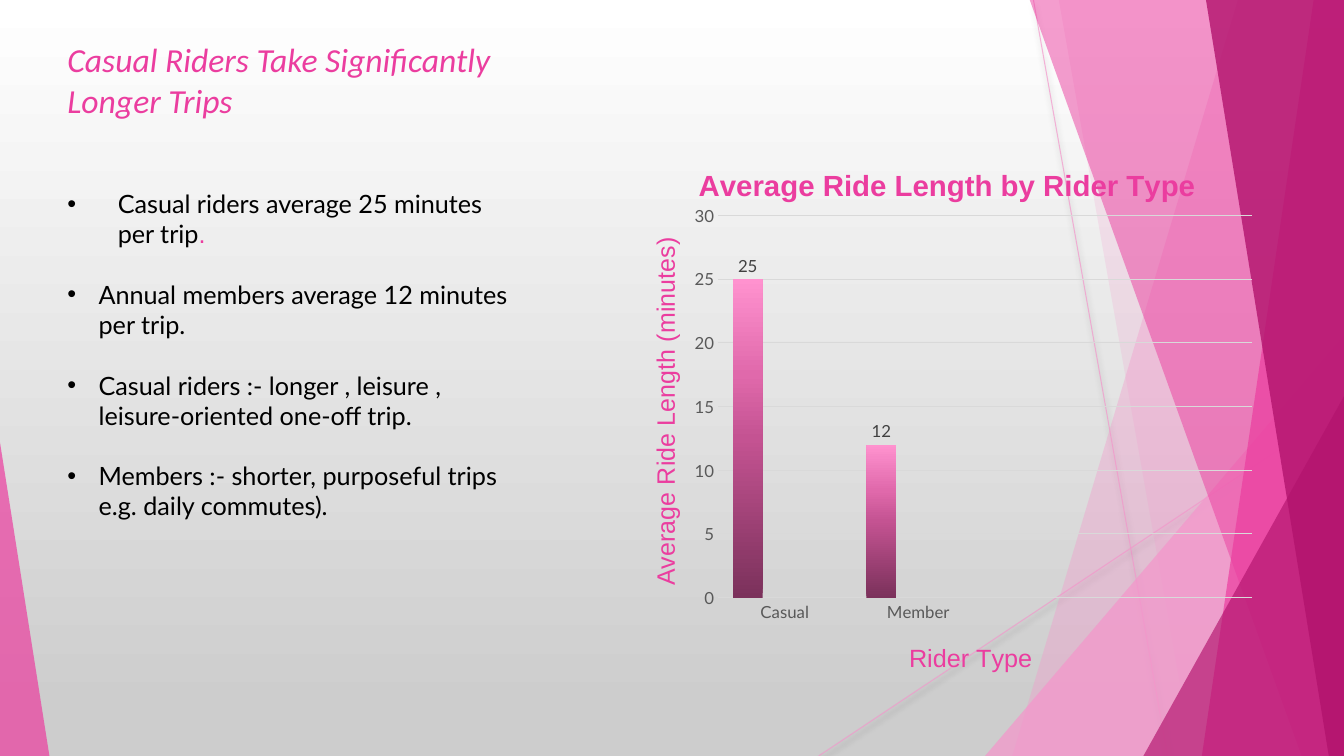
import copy

import pptx
import pptx.chart.data
import pptx.dml.color
import pptx.enum.chart
import pptx.enum.shapes
import pptx.oxml
import pptx.oxml.ns
import pptx.util
from pptx.util import Inches

RGBColor = pptx.dml.color.RGBColor
PALE_PINK = RGBColor(0xF4, 0x96, 0xCB)
PINK = RGBColor(0xEB, 0x3D, 0x9F)
MAGENTA = RGBColor(0xB2, 0x13, 0x6D)
BLACK = RGBColor(0, 0, 0)
LABEL_GRAY = RGBColor(0x40, 0x40, 0x40)
AXIS_GRAY = RGBColor(0x59, 0x59, 0x59)
GRID_GRAY = RGBColor(0xD9, 0xD9, 0xD9)
BACKDROP = [(0, RGBColor(0xFF, 0xFF, 0xFF)), (0.94, RGBColor(0xCD, 0xCD, 0xCD))]
BAR_PINKS = [(0, RGBColor(0x7B, 0x31, 0x5B)), (0.5, RGBColor(0xC4, 0x53, 0x92)),
             (0.7, RGBColor(0xE0, 0x69, 0xAB)), (1, RGBColor(0xFF, 0x92, 0xCF))]
TOP, BOTTOM, RIGHT = -0.01, 7.5, 13.33


class RiderSlide:
    """Draws the elements of one slide in a shared style."""

    def __init__(self, presentation):
        self.slide = presentation.slides.add_slide(presentation.slide_layouts[6])
        self.shapes = self.slide.shapes
        self.gradient(self.slide.background.fill, BACKDROP, 270)

    def gradient(self, fill, stops, angle):
        fill.gradient()
        fill.gradient_angle = angle
        stop_list = fill.gradient_stops[0]._gs.getparent()
        for _ in stops[2:]:
            stop_list.append(copy.deepcopy(stop_list[0]))
        for stop, (position, color) in zip(fill.gradient_stops, stops):
            stop.position = position
            stop.color.rgb = color

    def set_opacity(self, element, percent):
        color = next(element.iter(pptx.oxml.ns.qn("a:srgbClr")))
        alpha = pptx.oxml.parse_xml(
            f'<a:alpha {pptx.oxml.ns.nsdecls("a")} val="{percent * 1000}"/>')
        color.append(alpha)

    def paint(self, shape, color, opacity):
        shape.shadow.inherit = False
        shape.line.fill.background()
        shape.fill.solid()
        shape.fill.fore_color.rgb = color
        self.set_opacity(shape._element.spPr, opacity)

    def line(self, start, end):
        connector = self.shapes.add_connector(
            pptx.enum.shapes.MSO_CONNECTOR.STRAIGHT, *map(Inches, start + end))
        connector.line.color.rgb = PALE_PINK
        connector.line.width = pptx.util.Pt(0.75)
        properties = connector._element.spPr
        self.set_opacity(properties, 70)
        properties.append(pptx.oxml.parse_xml(
            f'<a:effectLst {pptx.oxml.ns.nsdecls("a")}>'
            '<a:outerShdw blurRad="50800" dist="38100" dir="5400000">'
            '<a:srgbClr val="000000"><a:alpha val="35000"/></a:srgbClr>'
            '</a:outerShdw></a:effectLst>'))

    def band(self, top_left, bottom_left, color, opacity):
        corners = [(top_left, TOP), (RIGHT, TOP), (RIGHT, BOTTOM), (bottom_left, BOTTOM)]
        points = [(Inches(x), Inches(y)) for x, y in corners]
        builder = self.shapes.build_freeform(*points[0], scale=1.0)
        builder.add_line_segments(points[1:], close=True)
        self.paint(builder.convert_to_shape(), color, opacity)

    def triangle(self, left, top, width, peak, color, opacity):
        shape = self.shapes.add_shape(
            pptx.enum.shapes.MSO_SHAPE.ISOSCELES_TRIANGLE,
            *map(Inches, (left, top, width, BOTTOM - top)))
        shape.adjustments[0] = peak
        self.paint(shape, color, opacity)

    def set_font(self, font, name, size, color):
        font.name = name
        font.size = pptx.util.Pt(size)
        font.color.rgb = color

    def paragraphs(self, box, texts):
        frame = self.shapes.add_textbox(*map(Inches, box)).text_frame
        frame.word_wrap = True
        frame.text = "\n".join(texts)
        return frame.paragraphs

    def title(self, box, lines):
        for paragraph in self.paragraphs(box, lines):
            self.set_font(paragraph.font, "Calibri", 24, PINK)
            paragraph.font.italic = True

    def bullets(self, box, items):
        paragraphs = self.paragraphs(box, items)
        for index, paragraph in enumerate(paragraphs):
            self.set_font(paragraph.font, "Lato", 18, BLACK)
            indent = Inches(0.31 if index else 0.5)
            paragraph.space_before = pptx.util.Pt(21.6 if index else 0)
            properties = paragraph._p.get_or_add_pPr()
            properties.set("marL", str(indent))
            properties.set("indent", str(-indent))
            for tag, attribute, value in (("buFont", "typeface", "Arial"),
                                          ("buChar", "char", "•")):
                bullet = properties.makeelement(pptx.oxml.ns.qn(f"a:{tag}"), {attribute: value})
                properties.insert_element_before(bullet, "a:tabLst", "a:defRPr", "a:extLst")
        return paragraphs

    def place(self, parent, **fractions):
        layout = parent.find(pptx.oxml.ns.qn("c:layout"))
        if layout is not None:
            parent.remove(layout)
        target = '<c:layoutTarget val="inner"/>' if "w" in fractions else ""
        modes = "".join(f'<c:{key}Mode val="edge"/>' for key in "xy")
        values = "".join(f'<c:{key} val="{value}"/>' for key, value in fractions.items())
        layout = pptx.oxml.parse_xml(
            f'<c:layout {pptx.oxml.ns.nsdecls("c")}><c:manualLayout>'
            f'{target}{modes}{values}</c:manualLayout></c:layout>')
        parent.insert(1 if parent.tag.endswith("title") else 0, layout)

    def chart_title(self, owner, text, size, bold, x, y):
        title = owner.chart_title if hasattr(owner, "chart_title") else owner.axis_title
        title.text_frame.text = text
        font = title.text_frame.paragraphs[0].font
        self.set_font(font, "Arial", size, PINK)
        font.bold = bold
        self.place(title._element, x=x, y=y)

    def column_chart(self, box, categories, series):
        data = pptx.chart.data.CategoryChartData()
        data.categories = categories
        for name, values in series:
            data.add_series(name, values)
        chart = self.shapes.add_chart(
            pptx.enum.chart.XL_CHART_TYPE.COLUMN_CLUSTERED, *map(Inches, box), data).chart
        chart.has_legend = False
        self.set_font(chart.font, "Lato", 10, BLACK)
        plot = chart.plots[0]
        plot.vary_by_categories = False
        plot.gap_width, plot.overlap = 100, -24
        plot.has_data_labels = True
        labels = plot.data_labels
        labels.show_value = True
        labels.position = pptx.enum.chart.XL_LABEL_POSITION.OUTSIDE_END
        self.set_font(labels.font, "Lato", 12, LABEL_GRAY)
        for columns in plot.series:
            self.gradient(columns.format.fill, BAR_PINKS, 90)
        for axis in (chart.category_axis, chart.value_axis):
            axis.major_tick_mark = pptx.enum.chart.XL_TICK_MARK.NONE
            self.set_font(axis.tick_labels.font, "Lato", 12, AXIS_GRAY)
        chart.category_axis.format.line.color.rgb = GRID_GRAY
        chart.category_axis.format.line.width = pptx.util.Pt(1)
        value_axis = chart.value_axis
        value_axis.minimum_scale, value_axis.maximum_scale, value_axis.major_unit = 0, 30, 5
        value_axis.format.line.fill.background()
        value_axis.major_gridlines.format.line.color.rgb = GRID_GRAY
        value_axis.major_gridlines.format.line.width = pptx.util.Pt(0.75)
        self.place(chart._chartSpace.chart.plotArea, x=0.175, y=0.141, w=0.759, h=0.715)
        return chart


def main():
    presentation = pptx.Presentation()
    presentation.slide_width, presentation.slide_height = Inches(RIGHT), Inches(BOTTOM)
    slide = RiderSlide(presentation)
    slide.line((10.25, 0), (11.58, BOTTOM))
    slide.line((RIGHT, 4.03), (8.12, BOTTOM))
    slide.band(12.28, 10.04, PALE_PINK, 36)
    slide.band(10.5, 11.83, PALE_PINK, 20)
    slide.triangle(9.77, 3.33, 3.56, 1, PALE_PINK, 72)
    slide.band(10.21, 12.91, PINK, 50)
    slide.band(13.03, 11.92, PINK, 70)
    slide.band(11.96, 13.18, MAGENTA, 80)
    slide.triangle(11.34, 3.93, 1.99, 1, MAGENTA, 66)
    slide.triangle(0, 4.39, 0.49, 0, PINK, 70)
    chart = slide.column_chart(
        (5.9, 1.39, 6.98, 5.36), ["Casual", "Member", "", ""],
        [("Series 1", [25, 12, None, None]), ("Series 2", [None] * 4), ("Series 3", [None] * 4)])
    slide.chart_title(chart, "Average Ride Length by Rider Type", 21, True, 0.14, 0.04)
    slide.chart_title(chart.category_axis, "Rider Type", 18, False, 0.44, 0.93)
    slide.chart_title(chart.value_axis, "Average Ride Length (minutes)", 18, False, 0.07, 0.18)
    slide.title((0.57, 0.34, 6.77, 0.91), ["Casual Riders Take Significantly", "Longer Trips"])
    bullets = slide.bullets((0.57, 1.82, 4.64, 3.74), [
        "Casual riders average 25 minutes per trip",
        "Annual members average 12 minutes per trip.",
        "Casual riders :- longer , leisure , leisure-oriented one-off trip.",
        "Members :- shorter, purposeful trips e.g. daily commutes)."])
    period = bullets[0].add_run()
    period.text = "."
    slide.set_font(period.font, "Arial", 18, PINK)
    presentation.save("out.pptx")


if __name__ == "__main__":
    main()
